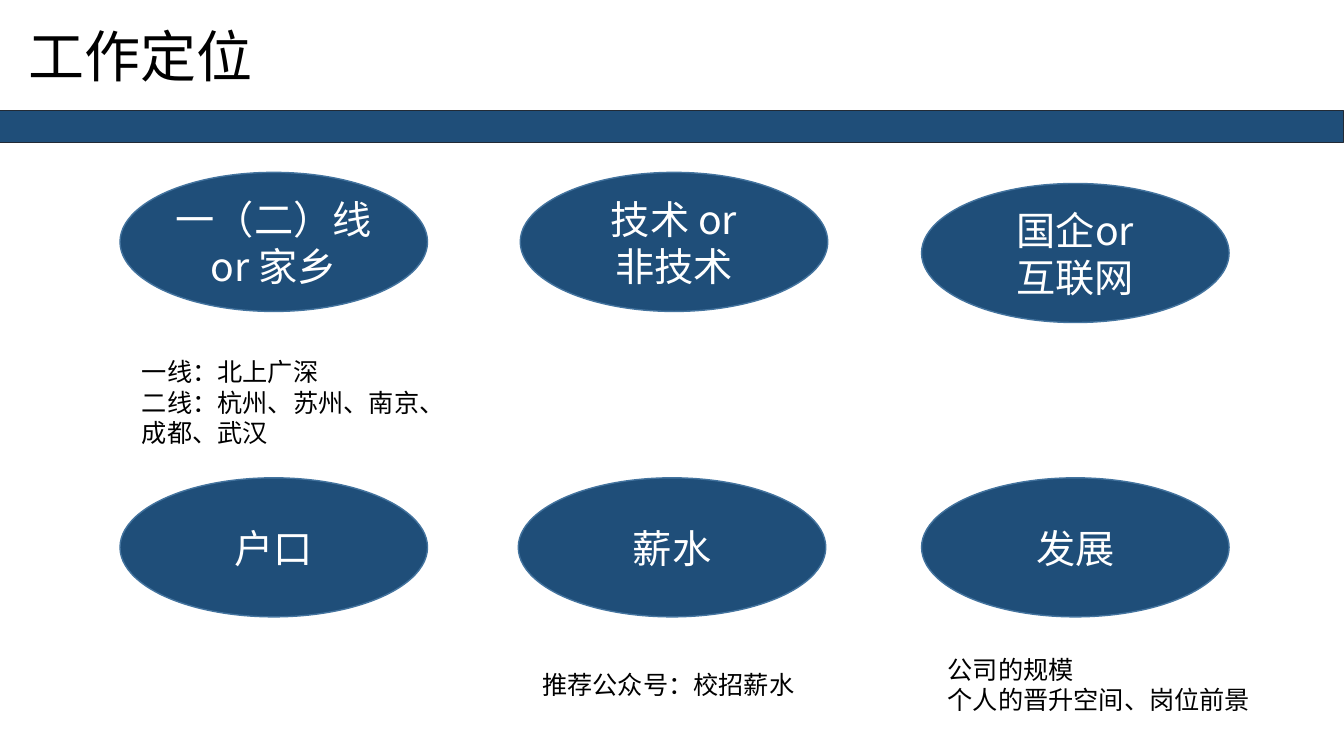
from lxml.etree import SubElement
from pptx import Presentation
from pptx.dml.color import RGBColor
from pptx.enum.shapes import MSO_SHAPE
from pptx.enum.text import MSO_ANCHOR, MSO_AUTO_SIZE, PP_ALIGN
from pptx.oxml.ns import qn
from pptx.util import Inches, Pt

NAVY = RGBColor(0x1F, 0x4E, 0x79)
OVAL_EDGE = RGBColor(0x43, 0x73, 0x9E)
BAND_EDGE = RGBColor(0x22, 0x2A, 0x35)
WHITE = RGBColor(0xFF, 0xFF, 0xFF)
BLACK = RGBColor(0, 0, 0)
FONT = "Noto Sans CJK SC"

SLIDE_WIDTH, SLIDE_HEIGHT = 13.33, 7.5
GRID_LEFT, GRID_TOP = 1.19, 1.71
COLUMN_STEP, ROW_STEP = 3.97, 3.03
OVAL_WIDTH, OVAL_HEIGHT = 3.05, 1.38

TITLE_FORMAT = {"size": Pt(40), "name": FONT, "bold": False}
TOPIC_FORMAT = {"size": Pt(28), "name": FONT}
NOTE_FORMAT = {"size": Pt(18), "name": FONT}

TOPICS = [
    (0, 0, (0, 0), ["一（二）线or 家乡"]),
    (1, 0, (0, 0), ["技术 or", "非技术"]),
    (2, 0, (0.01, 0.11), ["国企or", "互联网"]),
    (0, 1, (0, 0), ["户口"]),
    (1, 1, (-0.02, 0), ["薪水"]),
    (2, 1, (0.01, 0), ["发展"]),
]
NOTES = [
    (0, 0, (0.12, 1.78, 3.44, 1.01), ["一线：北上广深", "二线：杭州、苏州、南京、成都、武汉"]),
    (1, 1, (0.12, 1.85, 2.91, 0.4), ["推荐公众号：校招薪水"]),
    (2, 1, (0.17, 1.7, 3.32, 0.71), ["公司的规模", "个人的晋升空间、岗位前景"]),
]


def cell_origin(column, row):
    return GRID_LEFT + column * COLUMN_STEP, GRID_TOP + row * ROW_STEP


def write_text(frame, lines, formats, color, alignment, anchor):
    frame.word_wrap = True
    frame.vertical_anchor = anchor
    for index, line in enumerate(lines):
        para = frame.paragraphs[0] if index == 0 else frame.add_paragraph()
        para.alignment = alignment
        span = para.add_run()
        span.text = line
        for key, value in formats.items():
            setattr(span.font, key, value)
        span.font.color.rgb = color
        SubElement(span.font._element, qn("a:ea"), typeface=FONT)


def add_filled_shape(page, kind, box, edge, edge_width):
    shape = page.shapes.add_shape(kind, *map(Inches, box))
    shape.shadow.inherit = False
    shape.fill.solid()
    shape.fill.fore_color.rgb = NAVY
    shape.line.color.rgb = edge
    shape.line.width = Pt(edge_width)
    return shape


def add_header(page, box):
    left, top, width, height = box
    title = page.shapes.title
    place = {"left": left + 0.18, "top": top + 0.16, "width": 3.18, "height": 0.77}
    for key, value in place.items():
        setattr(title, key, Inches(value))
    title.text_frame.auto_size = MSO_AUTO_SIZE.NONE
    write_text(title.text_frame, ["工作定位"], TITLE_FORMAT, BLACK, PP_ALIGN.LEFT, MSO_ANCHOR.TOP)
    band = (left, top + height - 0.31, width, 0.31)
    add_filled_shape(page, MSO_SHAPE.RECTANGLE, band, BAND_EDGE, 0.75)


def add_topic(page, box, lines):
    oval = add_filled_shape(page, MSO_SHAPE.OVAL, box, OVAL_EDGE, 1)
    write_text(oval.text_frame, lines, TOPIC_FORMAT, WHITE, PP_ALIGN.CENTER, MSO_ANCHOR.MIDDLE)


def add_note(page, box, lines):
    note = page.shapes.add_textbox(*map(Inches, box))
    write_text(note.text_frame, lines, NOTE_FORMAT, BLACK, PP_ALIGN.LEFT, MSO_ANCHOR.TOP)
    note.text_frame.auto_size = MSO_AUTO_SIZE.SHAPE_TO_FIT_TEXT


def main():
    deck = Presentation()
    deck.slide_width, deck.slide_height = Inches(SLIDE_WIDTH), Inches(SLIDE_HEIGHT)
    page = deck.slides.add_slide(deck.slide_layouts.get_by_name("Title Only"))
    add_header(page, (0, 0, SLIDE_WIDTH, 1.41))
    for column, row, (shift_x, shift_y), lines in TOPICS:
        left, top = cell_origin(column, row)
        add_topic(page, (left + shift_x, top + shift_y, OVAL_WIDTH, OVAL_HEIGHT), lines)
    for column, row, (shift_x, shift_y, width, height), lines in NOTES:
        left, top = cell_origin(column, row)
        add_note(page, (left + shift_x, top + shift_y, width, height), lines)
    deck.save("out.pptx")


if __name__ == "__main__":
    main()
